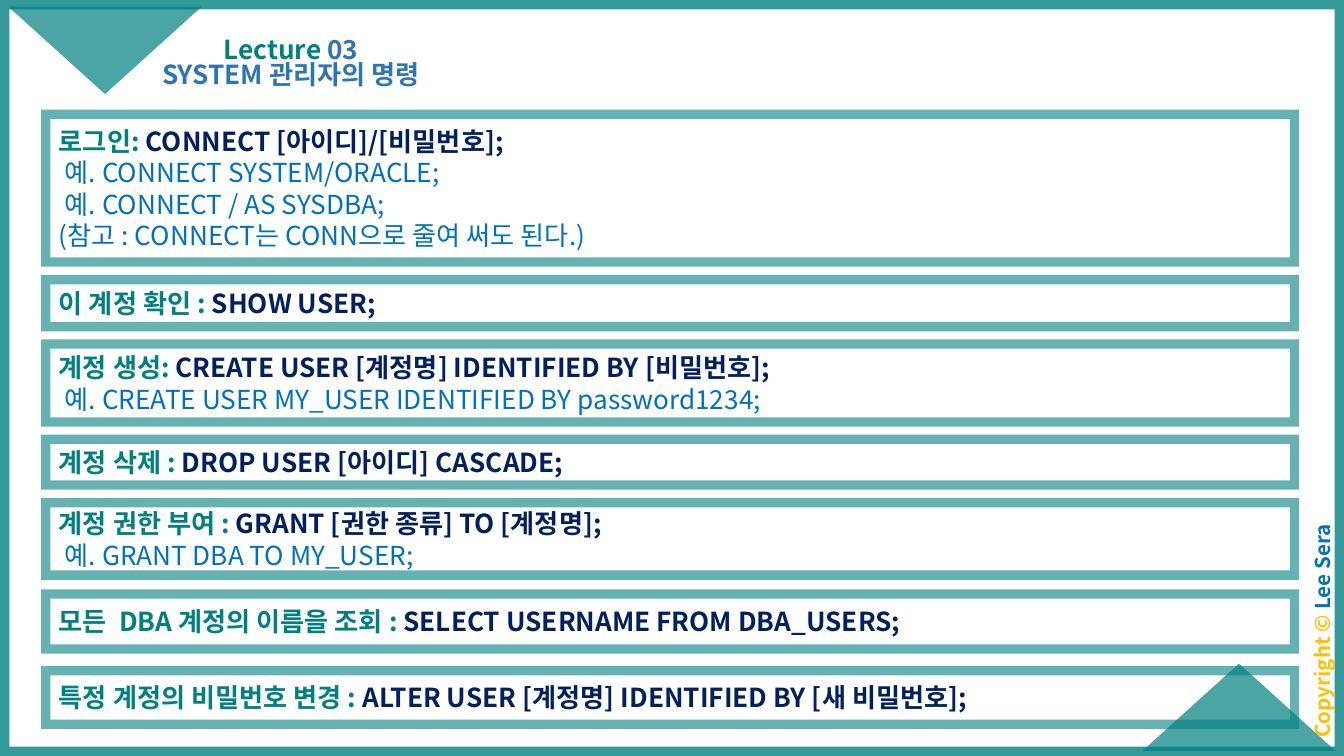
from pptx import Presentation
from pptx import util as u
from pptx.dml import color
from pptx.enum import shapes, text
from pptx.oxml import ns
from lxml import etree

Pt = u.Pt
FONT = "Noto Sans CJK KR"
TEAL, NAVY, BLUE, STEEL, GOLD = "008080", "002060", "0070C0", "2E75B6", "FFC000"
WIDTH, HEIGHT = 720, 405

# top, height, label, command, example lines
COMMANDS = [
    (61.2, 79.2, "로그인: ", "CONNECT [아이디]/[비밀번호];",
     [" 예. CONNECT SYSTEM/ORACLE;", " 예. CONNECT / AS SYSDBA;",
      "(참고 : CONNECT는 CONN으로 줄여 써도 된다.)"]),
    (149.8, 25.2, "이 계정 확인 : ", "SHOW USER;", []),
    (184.3, 41.8, "계정 생성: ", "CREATE USER [계정명] IDENTIFIED BY [비밀번호];",
     [" 예. CREATE USER MY_USER IDENTIFIED BY password1234;"]),
    (235.4, 24.5, "계정 삭제 : ", "DROP USER [아이디] CASCADE;", []),
    (269.3, 38.9, "계정 권한 부여 : ", "GRANT [권한 종류] TO [계정명];",
     [" 예. GRANT DBA TO MY_USER;"]),
    (318.2, 29.5, "모든  DBA 계정의 이름을 조회 : ",
     "SELECT USERNAME FROM DBA_USERS;", []),
    (359.3, 28.8, "특정 계정의 비밀번호 변경 : ",
     "ALTER USER [계정명] IDENTIFIED BY [새 비밀번호];", []),
]


def paint(fmt, value, alpha=100):
    """Set a solid colour, with opacity in percent."""
    fmt.solid()
    fmt.fore_color.rgb = color.RGBColor.from_string(value)
    if alpha < 100:
        clr = fmt._xPr.find(".//" + ns.qn("a:srgbClr"))
        etree.SubElement(clr, ns.qn("a:alpha"), val=str(alpha * 1000))


def add_run(p, words, value, size=14, bold=True):
    r = p.add_run()
    r.text = words
    for name, setting in {"name": FONT, "size": Pt(size), "bold": bold}.items():
        setattr(r.font, name, setting)
    paint(r.font.fill, value)
    etree.SubElement(r.font._element, ns.qn("a:ea"), typeface=FONT)


def set_frame(tf, **settings):
    defaults = {"word_wrap": True, "auto_size": text.MSO_AUTO_SIZE.NONE}
    for name, setting in {**defaults, **settings}.items():
        setattr(tf, name, setting)


def add_frame(s, box, weight, alpha):
    sp = s.shapes.add_shape(shapes.MSO_SHAPE.RECTANGLE, *map(Pt, box))
    sp.shadow.inherit = False
    sp.fill.background()
    sp.line.width = Pt(weight)
    paint(sp.line.fill, TEAL, alpha)
    etree.SubElement(sp.line._ln, ns.qn("a:miter"), lim="800000")
    return sp


def add_corner(s, box, rotation=0):
    sp = s.shapes.add_shape(shapes.MSO_SHAPE.ISOSCELES_TRIANGLE, *map(Pt, box))
    sp.shadow.inherit = False
    sp.rotation = rotation
    paint(sp.fill, TEAL, 70)
    sp.line.fill.background()


def fill_heading(sp, box, runs, size=14, anchor=text.MSO_ANCHOR.TOP):
    """Place a text shape and write one centred line of coloured runs."""
    sp.left, sp.top, sp.width, sp.height = map(Pt, box)
    set_frame(sp.text_frame, vertical_anchor=anchor,
              margin_left=Pt(5), margin_right=Pt(5),
              margin_top=Pt(3), margin_bottom=Pt(3))
    p = sp.text_frame.paragraphs[0]
    p.alignment = text.PP_ALIGN.CENTER
    p.line_spacing = 0.9
    for words, value in runs:
        add_run(p, words, value, size)


def add_command(s, box, label, command, examples):
    tf = add_frame(s, box, 5, 60).text_frame
    set_frame(tf, vertical_anchor=text.MSO_ANCHOR.MIDDLE)
    p = tf.paragraphs[0]
    p.alignment = text.PP_ALIGN.LEFT
    add_run(p, label, TEAL)
    add_run(p, command, NAVY)
    for example in examples:
        p = tf.add_paragraph()
        p.alignment = text.PP_ALIGN.LEFT
        add_run(p, example, BLUE, bold=False)


def build_slide(prs):
    s = prs.slides.add_slide(prs.slide_layouts[5])
    add_frame(s, (0, 0, WIDTH, HEIGHT), 10, 80)
    add_corner(s, (612, 355.5, 103.5, 46.8))
    add_corner(s, (4.5, 3.6, 103.5, 46.8), 180)

    credit = s.shapes.add_textbox(0, 0, 0, 0)
    fill_heading(credit, (642.2, 329, 134, 18),
                 [("Copyright © ", GOLD), ("Lee Sera", BLUE)], 11)
    credit.rotation = 270

    fill_heading(s.shapes.title, (100.8, 4.3, 110.2, 33.8),
                 [("Lecture ", TEAL), ("03", STEEL)],
                 anchor=text.MSO_ANCHOR.BOTTOM)
    fill_heading(s.shapes.add_textbox(0, 0, 0, 0), (79.2, 30.2, 153.4, 24.5),
                 [("SYSTEM 관리자의 명령", STEEL)])

    for top, height, label, command, examples in COMMANDS:
        add_command(s, (24.5, top, 669, height), label, command, examples)


def main():
    prs = Presentation()
    prs.slide_width, prs.slide_height = Pt(WIDTH), Pt(HEIGHT)
    build_slide(prs)
    prs.save("out.pptx")


if __name__ == "__main__":
    main()
